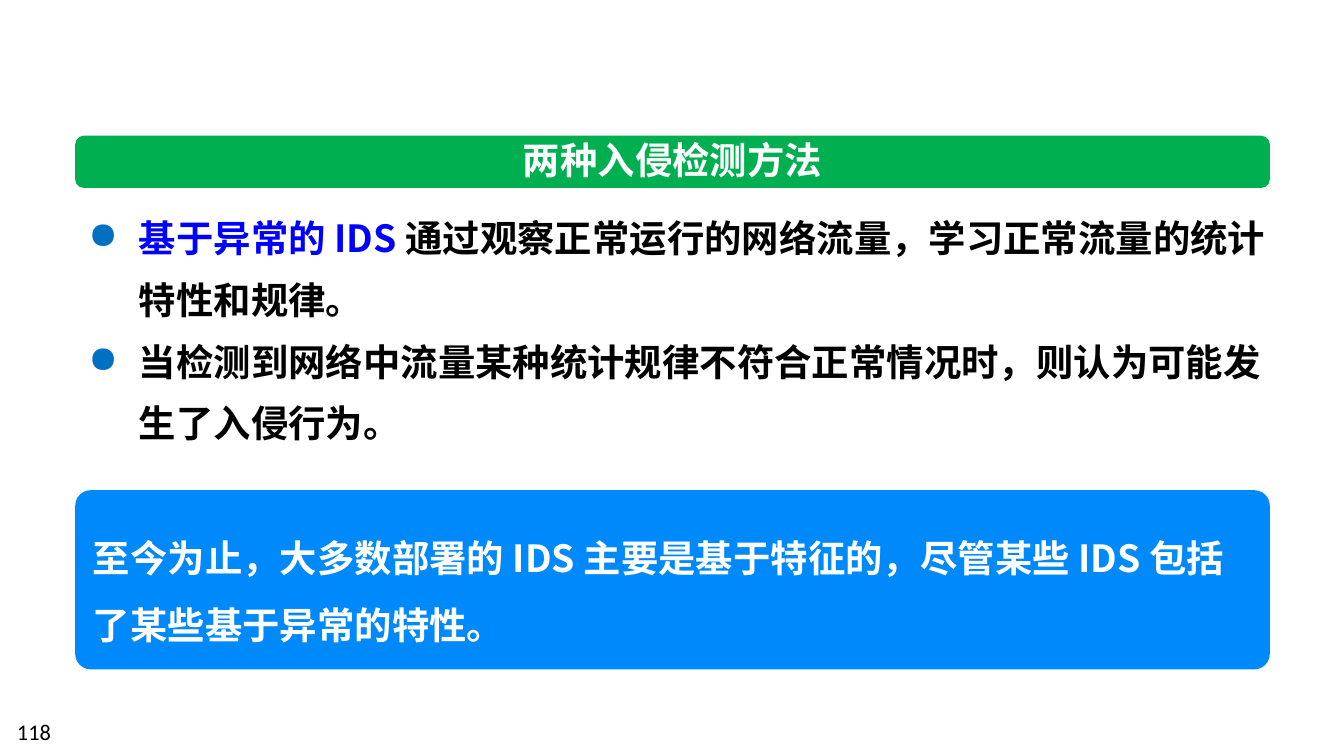
from lxml.etree import SubElement
from pptx import Presentation
from pptx.dml.color import RGBColor
from pptx.enum.shapes import MSO_SHAPE
from pptx.enum.text import MSO_ANCHOR, MSO_AUTO_SIZE, PP_ALIGN
from pptx.oxml.ns import qn
from pptx.util import Pt

CJK = "Noto Sans CJK SC"


def rgb(value):
    return RGBColor.from_string(value)


def set_font(paragraph, color, size=20, name=CJK, bold=True):
    font = paragraph.font
    font.size, font.name, font.bold = Pt(size), name, bold
    font.color.rgb = rgb(color)
    defaults = paragraph._p.pPr.find(qn("a:defRPr"))
    SubElement(defaults, qn("a:ea"), typeface=name)


def add_bullet(paragraph, color, indent):
    props = paragraph._p.get_or_add_pPr()
    props.set("marL", str(Pt(indent)))
    props.set("indent", str(-Pt(indent)))
    bullet_color = SubElement(props, qn("a:buClr"))
    SubElement(bullet_color, qn("a:srgbClr"), val=color)
    SubElement(props, qn("a:buChar"), char="●")


def add_panel(slide, box, fill, corner):
    panel = slide.shapes.add_shape(MSO_SHAPE.ROUNDED_RECTANGLE, *map(Pt, box))
    panel.adjustments[0] = corner
    panel.shadow.inherit = False
    panel.fill.solid()
    panel.fill.fore_color.rgb = rgb(fill)
    panel.line.fill.background()
    return panel


def add_heading(slide, box, text):
    left, top, width, height = box
    bar = add_panel(slide, box, "00B050", 0.167)
    # Title sits over the bar, centred on it
    title = slide.shapes.title
    bar._element.addnext(title._element)
    title_width, title_height = 182, 31.7
    title.left = Pt(left + (width - title_width) / 2)
    title.top = Pt(top + (height - title_height) / 2 - 1)
    title.width, title.height = Pt(title_width), Pt(title_height)
    frame = title.text_frame
    frame.text = text
    frame.word_wrap = False
    frame.auto_size = MSO_AUTO_SIZE.SHAPE_TO_FIT_TEXT
    frame.vertical_anchor = MSO_ANCHOR.TOP
    heading = frame.paragraphs[0]
    heading.alignment = PP_ALIGN.CENTER
    set_font(heading, "FFFFFF")


def add_points(slide, box, points):
    frame = slide.shapes.add_textbox(*map(Pt, box)).text_frame
    frame.word_wrap = True
    for i, (term, statement) in enumerate(points):
        point = frame.add_paragraph() if i else frame.paragraphs[0]
        add_bullet(point, "0070C0", 27)
        point.line_spacing = Pt(33)
        set_font(point, "000000")
        if term:
            term_run = point.add_run()
            term_run.text = term
            term_run.font.color.rgb = rgb("0000FF")
        point.add_run().text = statement


def add_conclusion(slide, box, text):
    frame = add_panel(slide, box, "0089FA", 0.087).text_frame
    frame.text = text
    frame.word_wrap = True
    frame.vertical_anchor = MSO_ANCHOR.MIDDLE
    conclusion = frame.paragraphs[0]
    conclusion.alignment = PP_ALIGN.LEFT
    conclusion.line_spacing = 1.5
    set_font(conclusion, "FFFFFF")


def add_page_number(slide, box, number):
    frame = slide.shapes.add_textbox(*map(Pt, box)).text_frame
    frame.word_wrap = True
    frame.text = number
    set_font(frame.paragraphs[0], "000000", 12, "Calibri", False)


def main():
    deck = Presentation()
    deck.slide_width, deck.slide_height = Pt(720), Pt(405)
    slide = deck.slides.add_slide(deck.slide_layouts[5])
    left, width = 40.3, 640

    add_heading(slide, (left, 72.7, width, 28), "两种入侵检测方法")
    add_points(slide, (left, 103, 661, 136.8), [
        ("基于异常的 IDS ", "通过观察正常运行的网络流量，学习正常流量的统计特性和规律。"),
        ("", "当检测到网络中流量某种统计规律不符合正常情况时，则认为可能发生了入侵行为。"),
    ])
    add_conclusion(slide, (left, 262.6, width, 96),
                   "至今为止，大多数部署的 IDS 主要是基于特征的，尽管某些 IDS 包括了某些基于异常的特性。")
    add_page_number(slide, (2, 381, 168, 21.6), "118")
    deck.save("out.pptx")


if __name__ == "__main__":
    main()
